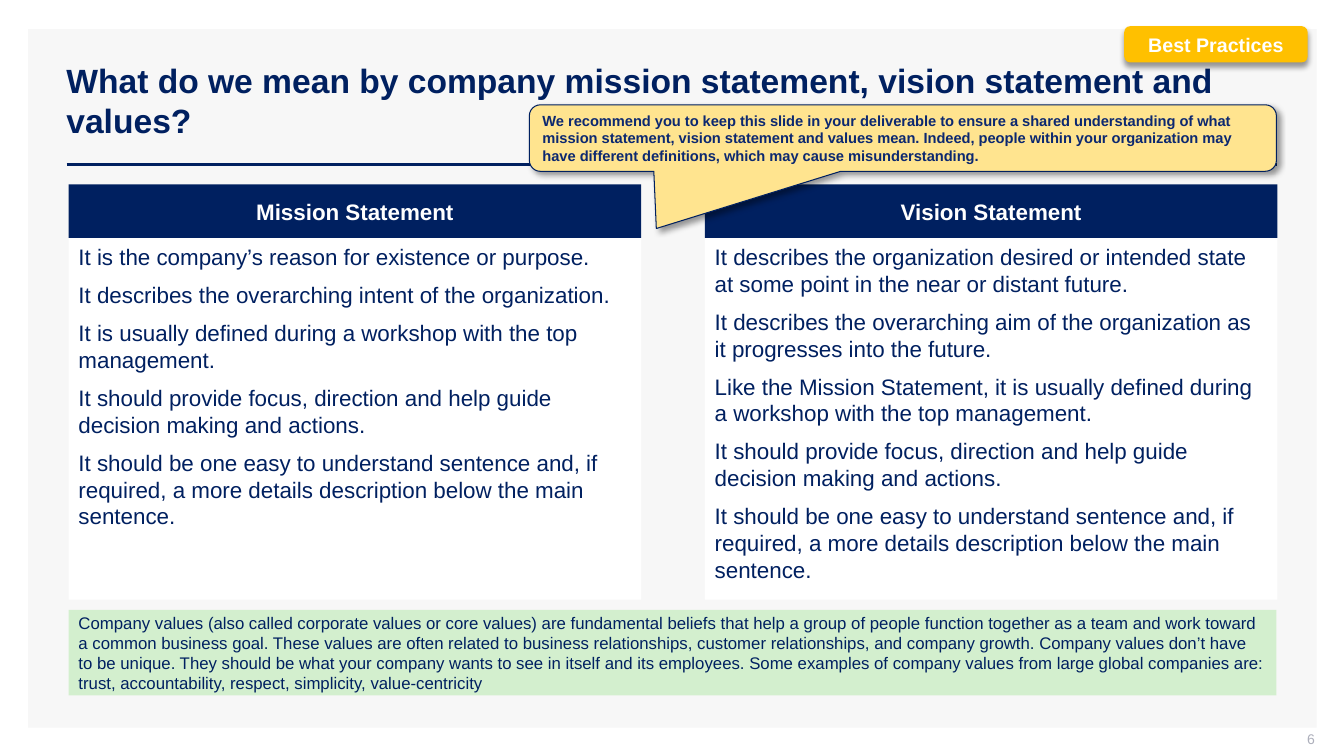
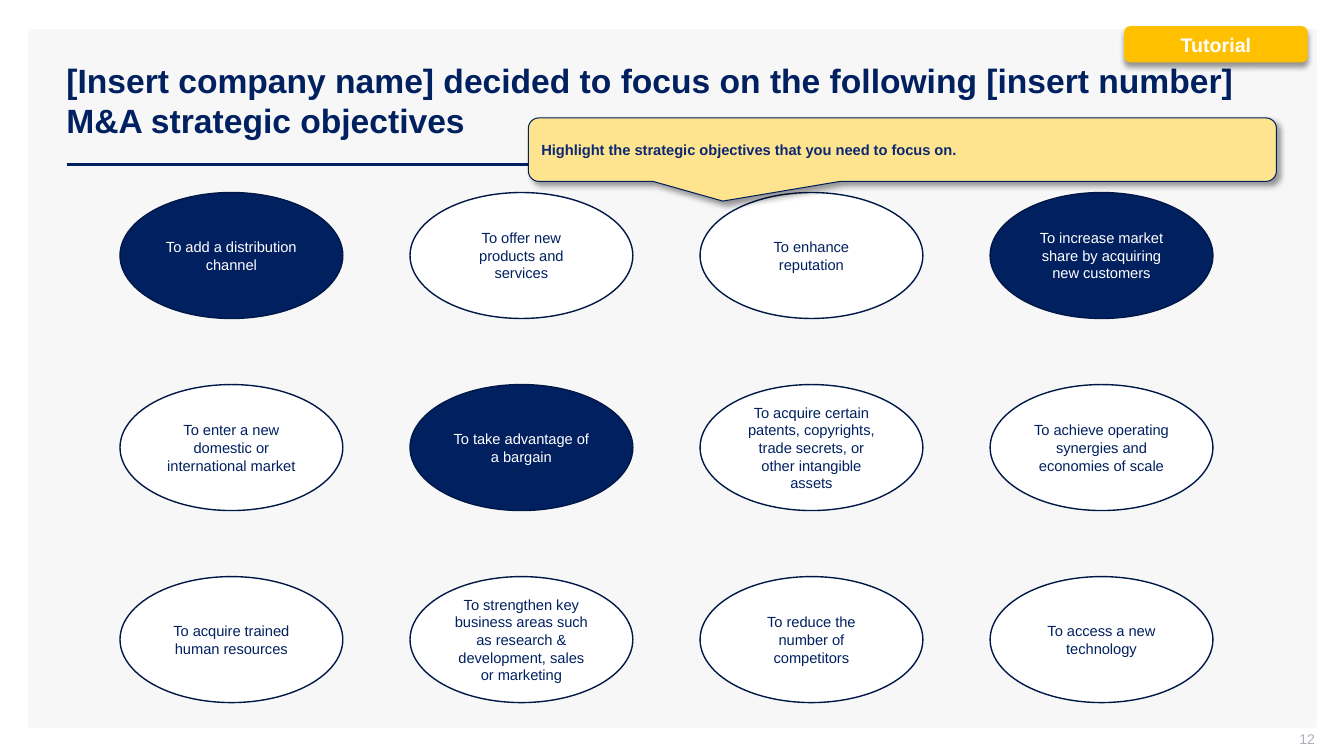
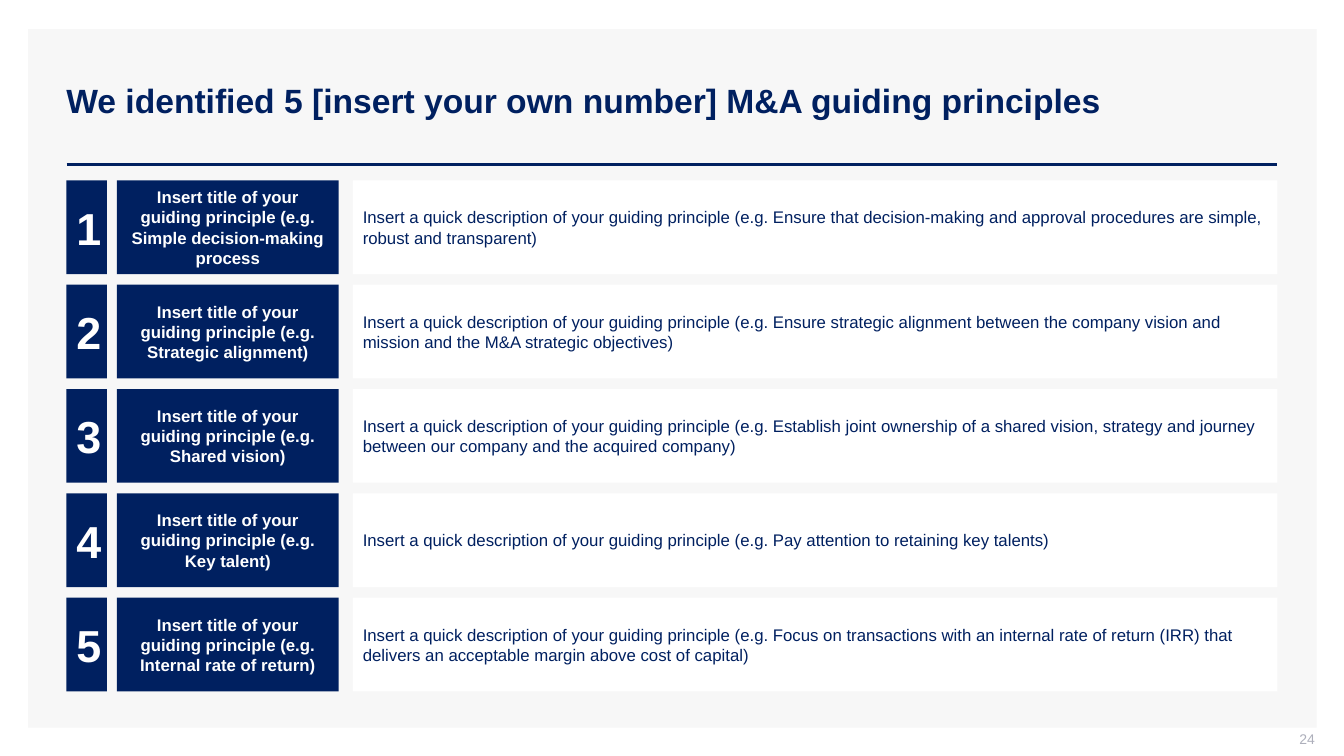
from lxml import etree
from pptx import Presentation
from pptx.dml.color import RGBColor
from pptx.enum import shapes, text as txt
from pptx.oxml import ns
from pptx.util import Inches, Pt

# Shared palette and type
NAVY = RGBColor(0x00, 0x20, 0x60)
DARK_NAVY = RGBColor(0x00, 0x18, 0x47)
INK = RGBColor(0x0C, 0x28, 0x70)
WHITE = RGBColor(0xFF, 0xFF, 0xFF)
PANEL = RGBColor(0xF7, 0xF7, 0xF7)
GREEN = RGBColor(0xD3, 0xEF, 0xCE)
YELLOW = RGBColor(0xFF, 0xE4, 0x8F)
AMBER = RGBColor(0xFF, 0xC0, 0x00)
GREY = RGBColor(0xAD, 0xAF, 0xBB)
FONT = "Arial"

KIND = shapes.MSO_SHAPE
LEFT, CENTER, RIGHT = txt.PP_ALIGN.LEFT, txt.PP_ALIGN.CENTER, txt.PP_ALIGN.RIGHT
TOP, MIDDLE = txt.MSO_ANCHOR.TOP, txt.MSO_ANCHOR.MIDDLE
DEFAULT_INSETS = (0.1, 0.05, 0.1, 0.05)


# Building blocks
def write(box, content, size=12, color=NAVY, bold=False, align=LEFT,
          anchor=MIDDLE, space=0, insets=DEFAULT_INSETS):
    """Fill a box with one paragraph, or with one per item of a list."""
    frame = box.text_frame
    frame.word_wrap = True
    frame.vertical_anchor = anchor
    (frame.margin_left, frame.margin_top,
     frame.margin_right, frame.margin_bottom) = map(Inches, insets)
    lines = [content] if isinstance(content, str) else content
    for index, line in enumerate(lines):
        para = frame.add_paragraph() if index else frame.paragraphs[0]
        para.alignment = align
        para.space_before = para.space_after = Pt(space)
        span = para.add_run()
        span.text = line
        span.font.name = FONT
        span.font.size = Pt(size)
        span.font.bold = bold
        span.font.color.rgb = color


def add_block(page, area, fill, kind=KIND.RECTANGLE, line=None, width=0.75):
    block = page.shapes.add_shape(kind, *map(Inches, area))
    block.shadow.inherit = False
    block.fill.solid()
    block.fill.fore_color.rgb = fill
    if line is None:
        block.line.fill.background()
    else:
        block.line.color.rgb = line
        block.line.width = Pt(width)
    return block


def add_label(page, area, content, **style):
    label = page.shapes.add_textbox(*map(Inches, area))
    write(label, content, **style)


def cast_shadow(block, angle):
    effects = block._element.spPr.find(ns.qn("a:effectLst"))
    shadow = etree.SubElement(
        effects, ns.qn("a:outerShdw"), blurRad=str(Pt(4)), dist=str(Pt(3)),
        dir=str(angle * 60000), algn="tl", rotWithShape="0")
    color = etree.SubElement(shadow, ns.qn("a:srgbClr"), val="000000")
    etree.SubElement(color, ns.qn("a:alpha"), val="40000")


def spread(start, length, size, count):
    """Starts of equal items that fill a length with equal gaps."""
    step = (length - size) / (count - 1)
    return [start + index * step for index in range(count)]


# Parts shared by the slides
def add_page(deck, title, number):
    page = deck.slides.add_slide(deck.slide_layouts[6])
    add_block(page, (0.28, 0.29, 12.78, 6.93), PANEL)
    rule = page.shapes.add_connector(
        shapes.MSO_CONNECTOR.STRAIGHT,
        Inches(0.66), Inches(1.63), Inches(12.67), Inches(1.63))
    rule.line.color.rgb = NAVY
    rule.line.width = Pt(2)
    etree.SubElement(rule._element.spPr, ns.qn("a:effectLst"))
    add_label(page, (0.56, 0.4, 12.11, 1.19), title, size=24, bold=True)
    add_label(page, (10.04, 7.25, 3, 0.21), str(number), size=10, color=GREY,
              align=RIGHT, insets=(0.1, 0, 0, 0.05))
    return page


def add_badge(page, content):
    badge = add_block(page, (11.15, 0.26, 1.82, 0.36), AMBER,
                      KIND.ROUNDED_RECTANGLE)
    cast_shadow(badge, 90)
    write(badge, content, size=14, color=WHITE, bold=True, align=CENTER)


def add_callout(page, area, tip, content):
    callout = add_block(page, area, YELLOW, KIND.ROUNDED_RECTANGULAR_CALLOUT,
                        line=NAVY)
    callout.adjustments[0], callout.adjustments[1] = tip
    cast_shadow(callout, 45)
    write(callout, content, size=10.5, color=INK, bold=True, space=3)


# Regions of single slides
def add_column(page, area, heading, points):
    left, top, width, height = area
    head = 0.53
    body = add_block(page, (left, top + head, width, height - head), WHITE)
    write(body, points, size=16, anchor=TOP, space=4)
    band = add_block(page, (left, top, width, head), NAVY)
    write(band, heading, size=16, color=WHITE, bold=True, align=CENTER)


def add_objectives(page, area, rows, chosen):
    left, top, width, height = area
    oval_width, oval_height = 2.21, 1.25
    tops = spread(top, height, oval_height, len(rows))
    for y, row in zip(tops, rows):
        for x, goal in zip(spread(left, width, oval_width, len(row)), row):
            fill, color = (NAVY, WHITE) if goal in chosen else (WHITE, NAVY)
            oval = add_block(page, (x, y, oval_width, oval_height), fill,
                             KIND.OVAL, line=DARK_NAVY, width=1)
            write(oval, goal, size=10.5, color=color, align=CENTER)


def add_principle(page, area, number, name, description):
    left, top, width, height = area
    number_box = add_block(page, (left, top, 0.4, height), NAVY)
    write(number_box, str(number), size=32, color=WHITE, bold=True, align=CENTER)
    name_box = add_block(page, (left + 0.5, top, 2.2, height), NAVY)
    write(name_box, f"Insert title of your guiding principle (e.g. {name}",
          color=WHITE, bold=True, align=CENTER)
    detail_box = add_block(page, (left + 2.84, top, width - 2.84, height), WHITE)
    write(detail_box, "Insert a quick description of your guiding principle "
          f"(e.g. {description})")


# Slides
SHARED_POINTS = [
    "It should provide focus, direction and help guide decision making and actions.",
    "It should be one easy to understand sentence and, if required, a more "
    "details description below the main sentence.",
]
STATEMENTS = {
    "Mission Statement": [
        "It is the company’s reason for existence or purpose.",
        "It describes the overarching intent of the organization.",
        "It is usually defined during a workshop with the top management.",
    ],
    "Vision Statement": [
        "It describes the organization desired or intended state at some point "
        "in the near or distant future.",
        "It describes the overarching aim of the organization as it progresses "
        "into the future.",
        "Like the Mission Statement, it is usually defined during a workshop "
        "with the top management.",
    ],
}
VALUES = (
    "Company values (also called corporate values or core values) are fundamental "
    "beliefs that help a group of people function together as a team and work "
    "toward a common business goal. These values are often related to business "
    "relationships, customer relationships, and company growth. Company values "
    "don’t have to be unique. They should be what your company wants to see in "
    "itself and its employees. Some examples of company values from large global "
    "companies are: trust, accountability, respect, simplicity, value-centricity")
OBJECTIVES = [
    ["To add a distribution channel",
     "To offer new products and services",
     "To enhance reputation",
     "To increase market share by acquiring new customers"],
    ["To enter a new domestic or international market",
     "To take advantage of a bargain",
     "To acquire certain patents, copyrights, trade secrets, or other "
     "intangible assets",
     "To achieve operating synergies and economies of scale"],
    ["To acquire trained human resources",
     "To strengthen key business areas such as research & development, sales "
     "or marketing",
     "To reduce the number of competitors",
     "To access a new technology"],
]
CHOSEN = {OBJECTIVES[0][0], OBJECTIVES[0][3], OBJECTIVES[1][1]}
PRINCIPLES = [
    ("Simple decision-making process",
     "Ensure that decision-making and approval procedures are simple, robust "
     "and transparent"),
    ("Strategic alignment)",
     "Ensure strategic alignment between the company vision and mission and "
     "the M&A strategic objectives"),
    ("Shared vision)",
     "Establish joint ownership of a shared vision, strategy and journey "
     "between our company and the acquired company"),
    ("Key talent)", "Pay attention to retaining key talents"),
    ("Internal rate of return)",
     "Focus on transactions with an internal rate of return (IRR) that delivers "
     "an acceptable margin above cost of capital"),
]


def build_statements(deck):
    page = add_page(deck, "What do we mean by company mission statement, "
                    "vision statement and values?", 6)
    lefts = spread(0.68, 11.99, 5.68, len(STATEMENTS))
    for left, (heading, points) in zip(lefts, STATEMENTS.items()):
        add_column(page, (left, 1.83, 5.68, 4.12), heading,
                   points + SHARED_POINTS)
    write(add_block(page, (0.68, 6.05, 11.98, 0.85), GREEN), VALUES)
    add_callout(page, (5.25, 1.04, 7.41, 0.66), (-0.33, 1.36),
                "We recommend you to keep this slide in your deliverable to ensure "
                "a shared understanding of what mission statement, vision statement "
                "and values mean. Indeed, people within your organization may have "
                "different definitions, which may cause misunderstanding.")
    add_badge(page, "Best Practices")


def build_objectives(deck):
    page = add_page(deck, "[Insert company name] decided to focus on the following "
                    "[insert number] M&A strategic objectives", 12)
    add_objectives(page, (1.19, 1.91, 10.84, 5.06), OBJECTIVES, CHOSEN)
    add_callout(page, (5.24, 1.17, 7.42, 0.63), (-0.24, 0.81),
                "Highlight the strategic objectives that you need to focus on.")
    add_badge(page, "Tutorial")


def build_principles(deck):
    page = add_page(deck, "We identified 5 [insert your own number] M&A guiding "
                    "principles", 24)
    tops = spread(1.79, 5.07, 0.93, len(PRINCIPLES))
    for number, (top, principle) in enumerate(zip(tops, PRINCIPLES), 1):
        add_principle(page, (0.66, top, 12.01, 0.93), number, *principle)


def main():
    deck = Presentation()
    deck.slide_width, deck.slide_height = Inches(13.33), Inches(7.5)
    build_statements(deck)
    build_objectives(deck)
    build_principles(deck)
    deck.save("out.pptx")


if __name__ == "__main__":
    main()
